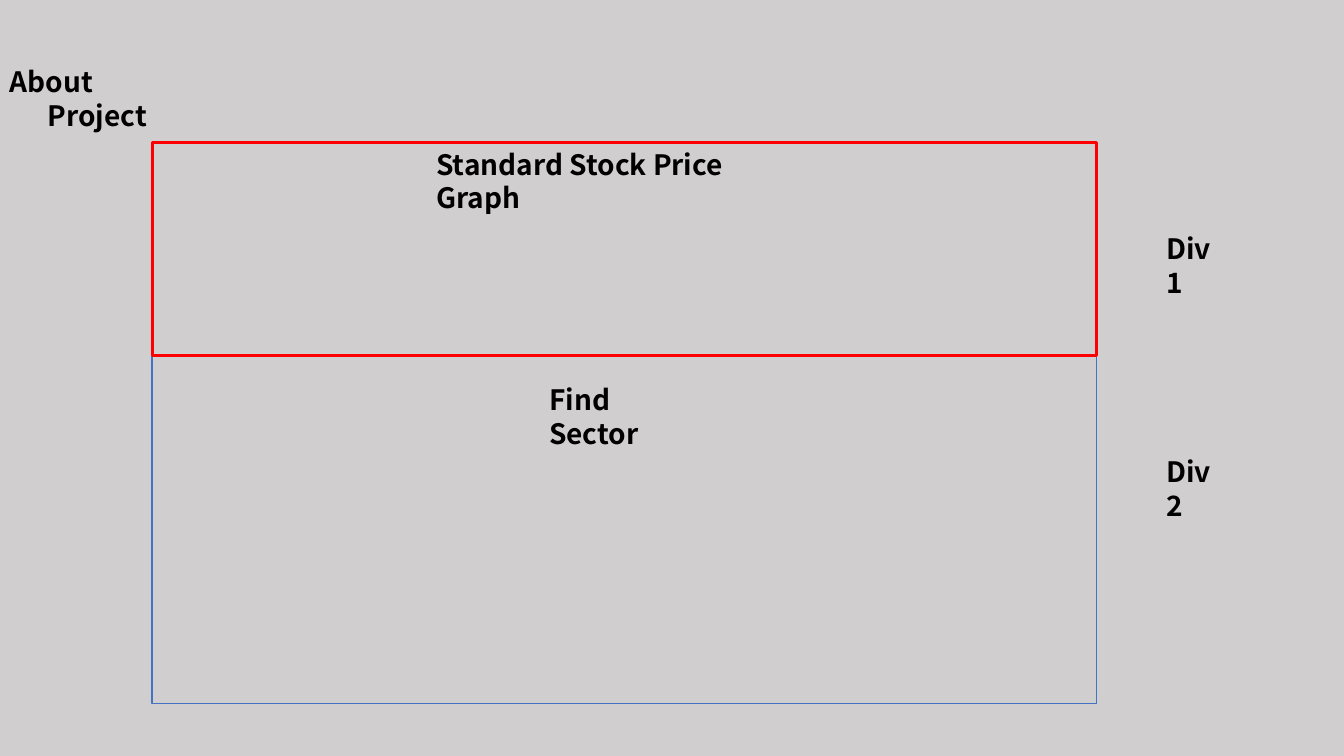
"""Build the page layout sketch with two stacked panels and their labels."""
from dataclasses import dataclass

import pptx
import pptx.dml.color
import pptx.enum.shapes
import pptx.enum.text
import pptx.slide
import pptx.util

FONT = "Noto Sans CJK KR"
PANEL_LEFT, PANEL_WIDTH = 108.72, 674.64
LABEL_HEIGHT = 31.5
DIV_LEFT, DIV_WIDTH = 825.84, 60.48


@dataclass
class Panel:
    top: float
    height: float
    color: str
    line_width: float


@dataclass
class Label:
    text: str
    left: float
    top: float
    width: float
    hanging: float = 0


PANELS = [
    Panel(101.52, 152.64, "FF0000", 2.25),
    Panel(254.16, 248.4, "4472C4", 1),
]
LABELS = [
    Label("About Project", 0, 42.5, 144, hanging=27),
    Label("Find Sector", 385.2, 270, 121.68),
    Label("Standard Stock Price Graph", 304.56, 101.52, 282.24),
    Label("Div 1", DIV_LEFT, 162, DIV_WIDTH),
    Label("Div 2", DIV_LEFT, 321.12, DIV_WIDTH),
]


def rgb(color: str) -> pptx.dml.color.RGBColor:
    return pptx.dml.color.RGBColor.from_string(color)


def draw_panel(page: pptx.slide.Slide, panel: Panel) -> None:
    box = page.shapes.add_shape(
        pptx.enum.shapes.MSO_SHAPE.RECTANGLE,
        pptx.util.Pt(PANEL_LEFT),
        pptx.util.Pt(panel.top),
        pptx.util.Pt(PANEL_WIDTH),
        pptx.util.Pt(panel.height),
    )
    box.shadow.inherit = False
    box.fill.background()
    box.line.color.rgb = rgb(panel.color)
    box.line.width = pptx.util.Pt(panel.line_width)


def draw_label(page: pptx.slide.Slide, label: Label) -> None:
    box = page.shapes.add_textbox(
        pptx.util.Pt(label.left),
        pptx.util.Pt(label.top),
        pptx.util.Pt(label.width),
        pptx.util.Pt(LABEL_HEIGHT),
    )
    frame = box.text_frame
    frame.word_wrap = True
    frame.auto_size = pptx.enum.text.MSO_AUTO_SIZE.SHAPE_TO_FIT_TEXT
    para = frame.paragraphs[0]
    para.text = label.text
    para.font.name = FONT
    para.font.size = pptx.util.Pt(20)
    para.font.bold = True
    para.font.color.rgb = rgb("000000")
    if label.hanging:
        properties = para._p.get_or_add_pPr()
        properties.set("marL", str(pptx.util.Pt(label.hanging)))
        properties.set("indent", str(-pptx.util.Pt(label.hanging)))


def main() -> None:
    deck = pptx.Presentation()
    deck.slide_width = pptx.util.Pt(960)
    deck.slide_height = pptx.util.Pt(540)
    page = deck.slides.add_slide(deck.slide_layouts[6])
    page.background.fill.solid()
    page.background.fill.fore_color.rgb = rgb("D0CECE")
    for panel in reversed(PANELS):
        draw_panel(page, panel)
    for label in LABELS:
        draw_label(page, label)
    deck.save("out.pptx")


if __name__ == "__main__":
    main()
